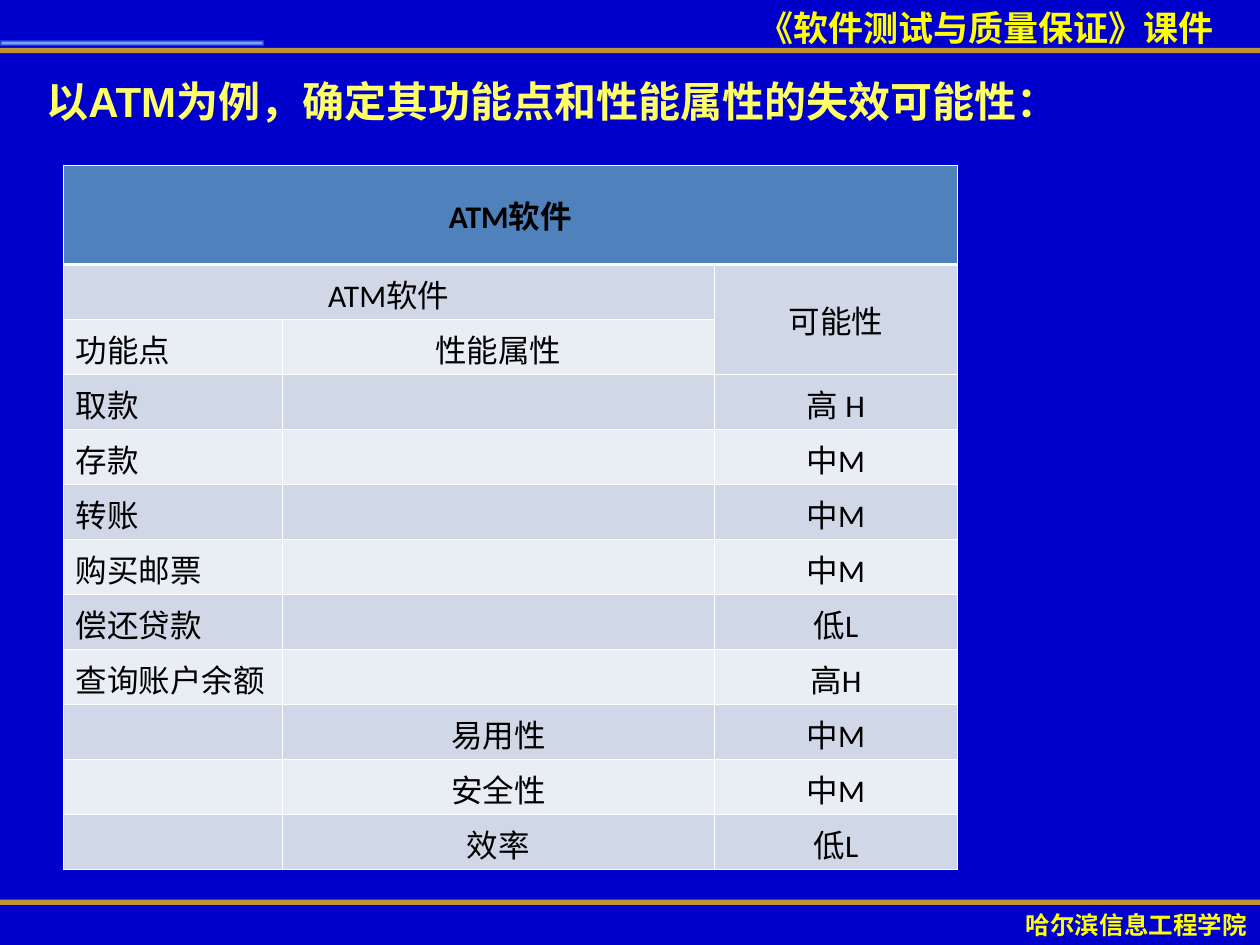
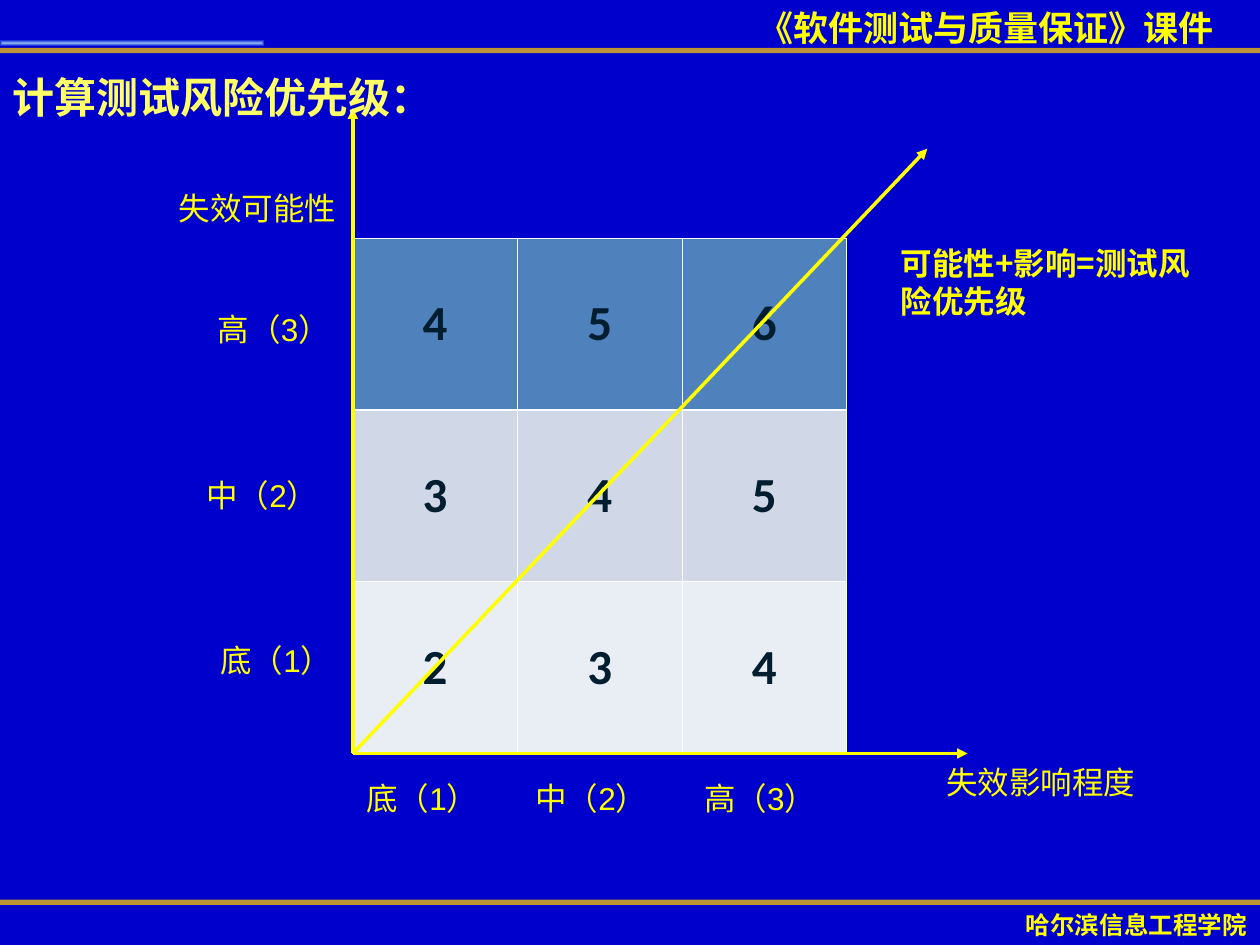
from lxml import etree
from pptx import Presentation
from pptx.dml.color import RGBColor
from pptx.enum.shapes import MSO_CONNECTOR, MSO_SHAPE
from pptx.enum.text import MSO_ANCHOR, MSO_AUTO_SIZE, PP_ALIGN
from pptx.oxml import parse_xml
from pptx.oxml.ns import qn
from pptx.util import Inches, Pt

LEFT, CENTER = PP_ALIGN.LEFT, PP_ALIGN.CENTER
MIDDLE = MSO_ANCHOR.MIDDLE
GROW = MSO_AUTO_SIZE.SHAPE_TO_FIT_TEXT
STRAIGHT, RECT = MSO_CONNECTOR.STRAIGHT, MSO_SHAPE.RECTANGLE

COLS, ROWS = 100, 75
WIDTH, HEIGHT = Inches(10), Inches(7.5)
C = {
    "back": "0000CC", "gold": "FFCC00", "yellow": "FFFF00", "title": "FFFF66",
    "head": "4F81BD", "band": "D0D8E8", "pale": "E9EDF4", "white": "FFFFFF",
    "black": "000000", "number": "001E30", "glow": "C3EBFF", "sky": "66CCFF",
}
NS = "http://schemas.openxmlformats.org/drawingml/2006/main"
GLOW = f"""<a:gradFill xmlns:a="{NS}" rotWithShape="1"><a:gsLst>
<a:gs pos="0"><a:srgbClr val="{C['glow']}"><a:alpha val="82000"/></a:srgbClr></a:gs>
<a:gs pos="100000"><a:srgbClr val="{C['sky']}"><a:alpha val="18000"/></a:srgbClr></a:gs>
</a:gsLst><a:path path="rect"><a:fillToRect l="50000" t="50000" r="50000" b="50000"/></a:path></a:gradFill>"""

RISKS = [
    ["ATM软件", "", ""],
    ["ATM软件", "", "可能性"],
    ["功能点", "性能属性", ""],
    ["取款", "", "高 H"],
    ["存款", "", "中M"],
    ["转账", "", "中M"],
    ["购买邮票", "", "中M"],
    ["偿还贷款", "", "低L"],
    ["查询账户余额", "", "高H"],
    ["", "易用性", "中M"],
    ["", "安全性", "中M"],
    ["", "效率", "低L"],
]
RISK_MERGES = [((0, 0), (0, 2)), ((1, 0), (1, 1)), ((1, 2), (2, 2))]
LEVELS = ["底（1）", "中（2）", "高（3）"]


def rgb(name):
    """Return a palette colour."""
    return RGBColor.from_string(C[name])


def gx(n):
    """Convert grid columns to a length."""
    return round(WIDTH * n / COLS)


def gy(n):
    """Convert grid rows to a length."""
    return round(HEIGHT * n / ROWS)


def place(box):
    """Convert a grid box to left, top, width and height."""
    x, y, w, h = box
    return gx(x), gy(y), gx(w), gy(h)


def style(p, size, color, bold=False, font="Arial", align=LEFT):
    """Format a paragraph and its runs."""
    p.alignment = align
    for r in p.runs:
        r.font.name, r.font.size, r.font.bold = font, Pt(size), bold
        r.font.color.rgb = rgb(color)


def add_text(s, box, text, size=18, color="yellow", wrap=True, anchor=None, **look):
    """Add a one-paragraph text box."""
    tf = s.shapes.add_textbox(*place(box)).text_frame
    tf.text = text
    tf.word_wrap = wrap
    if anchor is None:
        tf.auto_size = GROW
    else:
        tf.vertical_anchor = anchor
    style(tf.paragraphs[0], size, color, **look)


def add_line(s, start, end, color, width, alpha=None, arrow=False):
    """Draw a straight line, optionally translucent or with an arrowhead."""
    (x1, y1), (x2, y2) = start, end
    line = s.shapes.add_connector(STRAIGHT, gx(x1), gy(y1), gx(x2), gy(y2))
    line.line.color.rgb = rgb(color)
    line.line.width = Pt(width)
    sp_pr = line._element.spPr
    if alpha:
        tint = next(sp_pr.iter(qn("a:srgbClr")))
        etree.SubElement(tint, qn("a:alpha"), val=str(alpha * 1000))
    if arrow:
        etree.SubElement(sp_pr.find(qn("a:ln")), qn("a:tailEnd"), type="triangle")
    etree.SubElement(sp_pr, qn("a:effectLst"))


def add_border(cell, side, width):
    """Draw one white edge of a table cell."""
    ln = etree.SubElement(cell._tc.get_or_add_tcPr(), qn(f"a:ln{side}"), w=str(Pt(width)))
    fill = etree.SubElement(ln, qn("a:solidFill"))
    etree.SubElement(fill, qn("a:srgbClr"), val=C["white"])


def add_grid(s, box, widths, heights, data, size, color, all_bold=False):
    """Add a banded table with a heavy rule below its first row."""
    table = s.shapes.add_table(len(data), len(data[0]), *place(box)).table
    table.first_row = table.horz_banding = False
    for col, w in zip(table.columns, widths):
        col.width = gx(w)
    for i, (row, h, texts) in enumerate(zip(table.rows, heights, data)):
        row.height = gy(h)
        fill = "head" if i == 0 else ("pale", "band")[i % 2]
        for cell, text in zip(row.cells, texts):
            for side in "LRTB":
                heavy = (i, side) in ((0, "B"), (1, "T"))
                add_border(cell, side, 1.47 if heavy else 0.45)
            cell.fill.solid()
            cell.fill.fore_color.rgb = rgb(fill)
            cell.vertical_anchor = MIDDLE
            cell.text = text
            style(cell.text_frame.paragraphs[0], size, color,
                  all_bold or i == 0, "Calibri", CENTER)
    return table


def add_frame(s):
    """Paint the background, bands, course name and school name."""
    s.background.fill.solid()
    s.background.fill.fore_color.rgb = rgb("back")
    for y in (4, 71.6):
        add_line(s, (0, y), (COLS, y), "gold", 3, alpha=72)
    glow = s.shapes.add_shape(RECT, *place((0, 3.2, 20.9, 0.4)))
    glow.shadow.inherit = False
    glow.line.fill.background()
    glow._element.spPr.find(qn("a:prstGeom")).addnext(parse_xml(GLOW))
    add_text(s, (59.2, 0, 51.5, 4.4), "《软件测试与质量保证》课件", 20, bold=True)
    add_text(s, (78.4, 71.7, 23.6, 3.4), "哈尔滨信息工程学院", 14, bold=True, align=CENTER)


def add_title(s, box, text, anchor=None):
    """Add the slide title."""
    add_text(s, box, text, 24, "title", anchor=anchor, bold=True)


def add_risk_table(s, box):
    """Add the table of failure likelihoods."""
    w, h = box[2:]
    head = 7.9
    row = (h - head) / (len(RISKS) - 1)
    heights = [head] + [row] * (len(RISKS) - 1)
    table = add_grid(s, box, (17.4, 34.3, w - 51.7), heights, RISKS, 18, "black")
    for i in range(2, len(RISKS)):
        table.cell(i, 0).text_frame.paragraphs[0].alignment = LEFT
    for first, last in RISK_MERGES:
        table.cell(*first).merge(table.cell(*last))


def add_priority_matrix(s, box):
    """Add the priority matrix with its axes, diagonal and level labels."""
    x, y, w, h = box
    n = len(LEVELS)
    base = y + h
    sums = [[str(i + j) for j in range(1, n + 1)] for i in range(n, 0, -1)]
    add_grid(s, box, [w / n] * n, [h / n] * n, sums, 28, "number", all_bold=True)
    for dx, dy in ((0, -51.2), (45.6, -48), (48.8, 0)):
        add_line(s, (x, base), (x + dx, base + dy), "yellow", 2, arrow=True)
    add_text(s, (x + 46.1, base + 0.3, 20.5, 4), "失效影响程度")
    add_text(s, (x - 14.8, y - 4.4, 14.5, 4), "失效可能性", wrap=False)
    for i, (level, shift) in enumerate(zip(LEVELS, (11.5, 12.6, 11.7))):
        add_text(s, (x + 0.1 + 13.4 * i, base + 1.5, 12.1, 4), level, wrap=False)
        add_text(s, (x - shift, base - 9.4 - 13.15 * i, 12.1, 4), level, wrap=False)


def likelihood_slide(s):
    """Build the slide on failure likelihood."""
    add_title(s, (2.7, 5.2, 90, 5.5), "以ATM为例，确定其功能点和性能属性的失效可能性：", MIDDLE)
    add_risk_table(s, (5, 13.1, 71, 55.9))


def priority_slide(s):
    """Build the slide on test risk priority."""
    add_priority_matrix(s, (28, 18.9, 39.2, 40.9))
    add_text(s, (70.5, 18.9, 25.6, 7), "可能性+影响=测试风险优先级",
             bold=True, font="Noto Sans CJK SC")
    add_title(s, (0, 5.2, 65.2, 5), "计算测试风险优先级：")


def main():
    """Build and save the presentation."""
    prs = Presentation()
    prs.slide_width, prs.slide_height = WIDTH, HEIGHT
    for build in (likelihood_slide, priority_slide):
        s = prs.slides.add_slide(prs.slide_layouts[6])
        add_frame(s)
        build(s)
    prs.save("out.pptx")


if __name__ == "__main__":
    main()
